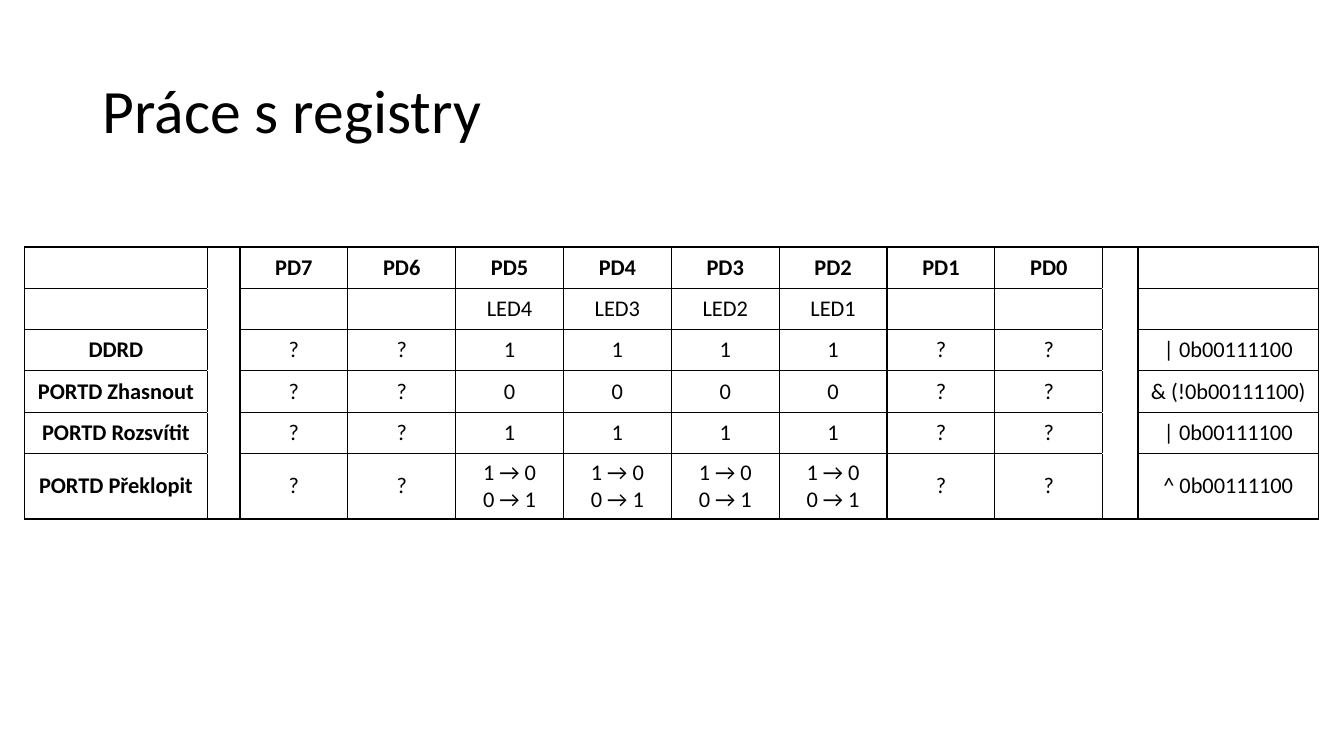
from dataclasses import dataclass

from lxml import etree
from pptx import Presentation
from pptx import util as u
from pptx.dml.color import RGBColor
from pptx.enum import text
from pptx.oxml.ns import qn

PX = u.Inches(1) // 100
BLACK = RGBColor(0x00, 0x00, 0x00)
WHITE = RGBColor(0xFF, 0xFF, 0xFF)
FONT = "Calibri"
SPACERS = (1, 10)
COLUMN_WIDTHS = [182, 32] + [107] * 8 + [35, 179]
FLIP = "1 → 0\n0 → 1"


@dataclass(frozen=True)
class Register:
    label: str
    pins: list[str]
    operation: str = ""
    height: int = 41

    def cells(self) -> list[str]:
        return [self.label, "", *self.pins, "", self.operation]


def masked(value: str) -> list[str]:
    return ["?"] * 2 + [value] * 4 + ["?"] * 2


REGISTERS = [
    Register("", [f"PD{pin}" for pin in range(7, -1, -1)]),
    Register("", ["", "", "LED4", "LED3", "LED2", "LED1", "", ""]),
    Register("DDRD", masked("1"), "| 0b00111100"),
    Register("PORTD Zhasnout", masked("0"), "& (!0b00111100)"),
    Register("PORTD Rozsvítit", masked("1"), "| 0b00111100"),
    Register("PORTD Překlopit", masked(FLIP), "^ 0b00111100", 65),
]


def px(length: int) -> u.Emu:
    return u.Emu(length * PX)


def style(paragraph, size: int, bold: bool = False) -> None:
    paragraph.font.name = FONT
    paragraph.font.size = u.Pt(size)
    paragraph.font.bold = bold
    paragraph.font.color.rgb = BLACK


def add_border(cell, side: str, color: RGBColor) -> None:
    line = etree.SubElement(
        cell._tc.get_or_add_tcPr(), qn(f"a:ln{side}"), w=str(u.Pt(1))
    )
    fill = etree.SubElement(line, qn("a:solidFill"))
    etree.SubElement(fill, qn("a:srgbClr"), val=str(color))


def fill_cell(cell, content: str, row: int, column: int) -> None:
    spacer = column in SPACERS
    open_top = spacer and row > 0
    open_bottom = spacer and row < len(REGISTERS) - 1
    add_border(cell, "L", BLACK)
    add_border(cell, "R", BLACK)
    add_border(cell, "T", WHITE if open_top else BLACK)
    add_border(cell, "B", WHITE if open_bottom else BLACK)
    cell.fill.background()
    cell.vertical_anchor = text.MSO_ANCHOR.MIDDLE
    cell.text = content
    for paragraph in cell.text_frame.paragraphs:
        paragraph.alignment = text.PP_ALIGN.CENTER
        style(paragraph, 16, bold=row == 0 or column == 0)


def add_heading(slide) -> None:
    heading = slide.shapes.add_textbox(px(92), px(40), px(1150), px(145)).text_frame
    heading.word_wrap = True
    heading.vertical_anchor = text.MSO_ANCHOR.MIDDLE
    heading.text = "Práce s registry"
    heading.paragraphs[0].line_spacing = 0.9
    style(heading.paragraphs[0], 44)


def add_registers(slide) -> None:
    registers = slide.shapes.add_table(
        len(REGISTERS),
        len(COLUMN_WIDTHS),
        px(24),
        px(245),
        px(sum(COLUMN_WIDTHS)),
        px(sum(register.height for register in REGISTERS)),
    ).table
    registers.first_row = False
    registers.horz_banding = False
    for column, width in zip(registers.columns, COLUMN_WIDTHS):
        column.width = px(width)
    for row, register in enumerate(REGISTERS):
        registers.rows[row].height = px(register.height)
        for column, content in enumerate(register.cells()):
            fill_cell(registers.cell(row, column), content, row, column)


def main() -> None:
    presentation = Presentation()
    presentation.slide_width = px(1333)
    presentation.slide_height = px(750)
    slide = presentation.slides.add_slide(presentation.slide_layouts[6])
    add_heading(slide)
    add_registers(slide)
    presentation.save("out.pptx")


if __name__ == "__main__":
    main()
